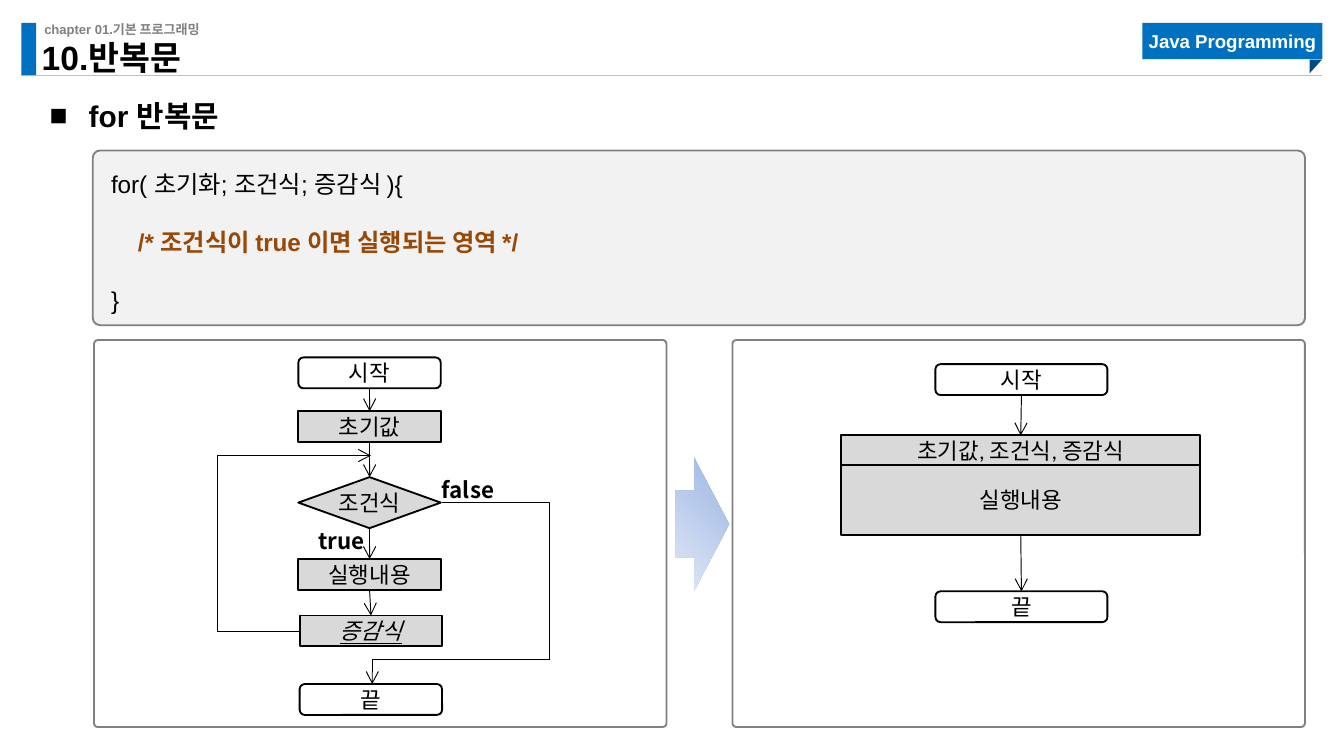
from pptx import Presentation
from pptx.dml.color import RGBColor
from pptx.enum.shapes import MSO_CONNECTOR, MSO_SHAPE
from pptx.enum.text import MSO_ANCHOR, MSO_AUTO_SIZE, PP_ALIGN
from pptx.oxml.ns import qn
from pptx.util import Inches, Pt
from lxml.etree import SubElement

BLACK = RGBColor(0x00, 0x00, 0x00)
WHITE = RGBColor(0xFF, 0xFF, 0xFF)
GRAY = RGBColor(0x80, 0x80, 0x80)
RULE = RGBColor(0xBF, 0xBF, 0xBF)
STEP = RGBColor(0xD9, 0xD9, 0xD9)
CODE = RGBColor(0xF2, 0xF2, 0xF2)
BLUE = RGBColor(0x00, 0x70, 0xC0)
NAVY = RGBColor(0x00, 0x4A, 0x82)
BROWN = RGBColor(0x98, 0x48, 0x07)
ARROW_DARK = RGBColor(0x9A, 0xB5, 0xE4)
ARROW_LIGHT = RGBColor(0xE1, 0xE8, 0xF5)
KOREAN = "Noto Sans CJK KR"
TERMINAL = MSO_SHAPE.FLOWCHART_ALTERNATE_PROCESS
PROCESS = MSO_SHAPE.FLOWCHART_PROCESS
DECISION = MSO_SHAPE.FLOWCHART_DECISION


class Deck:
    """Holds the style and the current slide, and draws each kind of element."""

    def __init__(self, prs):
        self.s = prs.slides.add_slide(prs.slide_layouts[1])

    def run(self, p, text, size, color=BLACK, bold=False, font="Arial"):
        r = p.add_run()
        r.text = text
        r.font.size, r.font.bold, r.font.name = Pt(size), bold, font
        r.font.color.rgb = color
        SubElement(r.font._element, qn("a:ea"), typeface=KOREAN)
        return r

    def frame(self, sp, inset=(0, 0), anchor=MSO_ANCHOR.TOP):
        tf = sp.text_frame
        tf.word_wrap, tf.auto_size = True, MSO_AUTO_SIZE.NONE
        tf.margin_left = tf.margin_right = Inches(inset[0])
        tf.margin_top = tf.margin_bottom = Inches(inset[1])
        tf.vertical_anchor = anchor
        return tf

    def placeholder(self, idx, box, text, size, spacing, anchor, bullet=None):
        sp = self.s.placeholders[idx]
        sp.left, sp.top, sp.width, sp.height = map(Inches, box)
        p = self.frame(sp, anchor=anchor).paragraphs[0]
        p.alignment, p.line_spacing, p.space_before = PP_ALIGN.LEFT, spacing, Pt(0)
        if bullet:
            pPr = p._p.get_or_add_pPr()
            pPr.set("marL", str(Inches(0.29)))
            pPr.set("indent", str(-Inches(0.29)))
            SubElement(pPr, qn("a:buChar"), char=bullet)
        self.run(p, text, size, bold=True)

    def label(self, box, text, size, color=BLACK, font="Arial", inset=(0, 0)):
        sp = self.s.shapes.add_textbox(*map(Inches, box))
        self.run(self.frame(sp, inset).paragraphs[0], text, size, color, True, font)

    def shape(self, kind, box, fill=None, line=None, adj=None):
        sp = self.s.shapes.add_shape(kind, *map(Inches, box))
        sp.shadow.inherit = False
        if fill is None:
            sp.fill.background()
        else:
            sp.fill.solid()
            sp.fill.fore_color.rgb = fill
        if line is None:
            sp.line.fill.background()
        else:
            sp.line.color.rgb, sp.line.width = line, Pt(1)
        if adj is not None:
            sp.adjustments[0] = adj
        return sp

    def centered(self, sp, text, size, **style):
        p = self.frame(sp, anchor=MSO_ANCHOR.MIDDLE).paragraphs[0]
        p.alignment = PP_ALIGN.CENTER
        return self.run(p, text, size, **style)

    def node(self, kind, box, text):
        sp = self.shape(kind, box, WHITE if kind == TERMINAL else STEP, BLACK)
        r = self.centered(sp, text, 12, font="Calibri")
        return sp, r

    def line(self, start, end, color=BLACK, arrow=False, kind=MSO_CONNECTOR.STRAIGHT):
        c = self.s.shapes.add_connector(kind, *map(Inches, start + end))
        c.line.color.rgb, c.line.width = color, Pt(0.5)
        if arrow:
            SubElement(c.line._get_or_add_ln(), qn("a:tailEnd"), type="arrow")
        SubElement(c._element.spPr, qn("a:effectLst"))
        return c

    def join(self, upper, lower):
        c = self.line((0, 0), (1, 1), arrow=True)
        c.begin_connect(upper, 2)
        c.end_connect(lower, 0)

    def elbow(self, start, end, preset="bentConnector2", adj=None, arrow=True):
        c = self.line(start, end, arrow=arrow, kind=MSO_CONNECTOR.ELBOW)
        geom = c._element.spPr.find(qn("a:prstGeom"))
        geom.set("prst", preset)
        if adj is not None:
            av = geom.find(qn("a:avLst"))
            SubElement(av, qn("a:gd"), name="adj1", fmla=f"val {round(adj * 100000)}")


def header(d):
    d.line((0.16, 0.56), (9.84, 0.56), RULE)
    d.shape(MSO_SHAPE.RECTANGLE, (0.16, 0.17, 0.11, 0.39), BLUE)
    d.label((0.33, 0.16, 3.23, 0.12), "chapter 01.기본 프로그래밍", 7, GRAY)
    tag = d.shape(MSO_SHAPE.RECTANGLE, (8.5, 0.17, 1.34, 0.27), BLUE)
    d.centered(tag, "Java Programming", 10, color=WHITE, bold=True)
    fold = d.shape(MSO_SHAPE.RIGHT_TRIANGLE, (9.74, 0.45, 0.1, 0.09), NAVY)
    fold.rotation = 90
    d.placeholder(0, (0.31, 0.35, 3.3, 0.23), "10.반복문", 18, 0.9, MSO_ANCHOR.BOTTOM)
    d.placeholder(1, (0.37, 0.59, 9.54, 0.33), "for 반복문", 16, 1.5, MSO_ANCHOR.TOP, "■")


def code_box(d):
    sp = d.shape(MSO_SHAPE.ROUNDED_RECTANGLE, (0.69, 1.12, 9.02, 1.3), CODE, GRAY, 0.042)
    tf = d.frame(sp, (0.12, 0.12))
    lines = [[("for( 초기화; 조건식; 증감식 ){", BLACK, False)],
             [("    ", BLACK, False), ("/* 조건식이 true 이면 실행되는 영역 */", BROWN, True)],
             [("}", BLACK, False)]]
    for i, runs in enumerate(lines):
        p = tf.add_paragraph() if i else tf.paragraphs[0]
        p.alignment = PP_ALIGN.LEFT
        p.space_before = Pt(15.5 if i else 0)
        for text, color, bold in runs:
            d.run(p, text, 13, color, bold)


def loop_chart(d):
    steps = [(TERMINAL, 2.22, 2.66, 0.23, "시작"), (PROCESS, 2.22, 3.06, 0.23, "초기값"),
             (DECISION, 2.22, 3.55, 0.38, "조건식"), (PROCESS, 2.22, 4.16, 0.23, "실행내용"),
             (PROCESS, 2.23, 4.58, 0.23, "증감식"), (TERMINAL, 2.23, 5.09, 0.23, "끝")]
    nodes = [d.node(kind, (x, y, 1.06, h), text) for kind, x, y, h, text in steps]
    update = nodes[4][1]
    update.font.italic = update.font.underline = True
    shapes = [sp for sp, r in nodes[:5]]
    for upper, lower in zip(shapes, shapes[1:]):
        d.join(upper, lower)
    d.elbow((3.29, 3.74), (4.09, 4.91), arrow=False)
    d.elbow((4.09, 4.91), (2.77, 5.09))
    d.elbow((2.23, 4.7), (2.76, 3.39), "bentConnector3", -1.16)
    for x, y, text in [(2.27, 3.87, "true"), (3.19, 3.49, "false")]:
        d.label((x, y, 0.71, 0.3), text, 12, font=KOREAN, inset=(0.1, 0.05))


def summary_chart(d):
    start, _ = d.node(TERMINAL, (6.96, 2.71, 1.28, 0.23), "시작")
    end, _ = d.node(TERMINAL, (6.96, 4.4, 1.28, 0.23), "끝")
    head, _ = d.node(PROCESS, (6.26, 3.24, 2.67, 0.23), "초기값, 조건식, 증감식")
    body, _ = d.node(PROCESS, (6.26, 3.46, 2.67, 0.52), "실행내용")
    d.join(start, head)
    d.join(body, end)


def main():
    prs = Presentation()
    prs.slide_width = Inches(10)
    prs.slide_height = prs.slide_width * 9 // 16
    d = Deck(prs)
    header(d)
    code_box(d)
    for x, chart in [(0.7, loop_chart), (5.45, summary_chart)]:
        d.shape(MSO_SHAPE.ROUNDED_RECTANGLE, (x, 2.53, 4.26, 2.88), line=GRAY, adj=0.01)
        chart(d)
    arrow = d.shape(MSO_SHAPE.DOWN_ARROW, (4.73, 3.7, 0.99, 0.4), ARROW_DARK, adj=0.5)
    arrow.adjustments[1] = 0.65
    arrow.rotation = 270
    arrow.fill.gradient()
    arrow.fill.gradient_angle = 135
    for stop, color in zip(arrow.fill.gradient_stops, (ARROW_DARK, ARROW_LIGHT)):
        stop.color.rgb = color
    prs.save("out.pptx")


if __name__ == "__main__":
    main()
